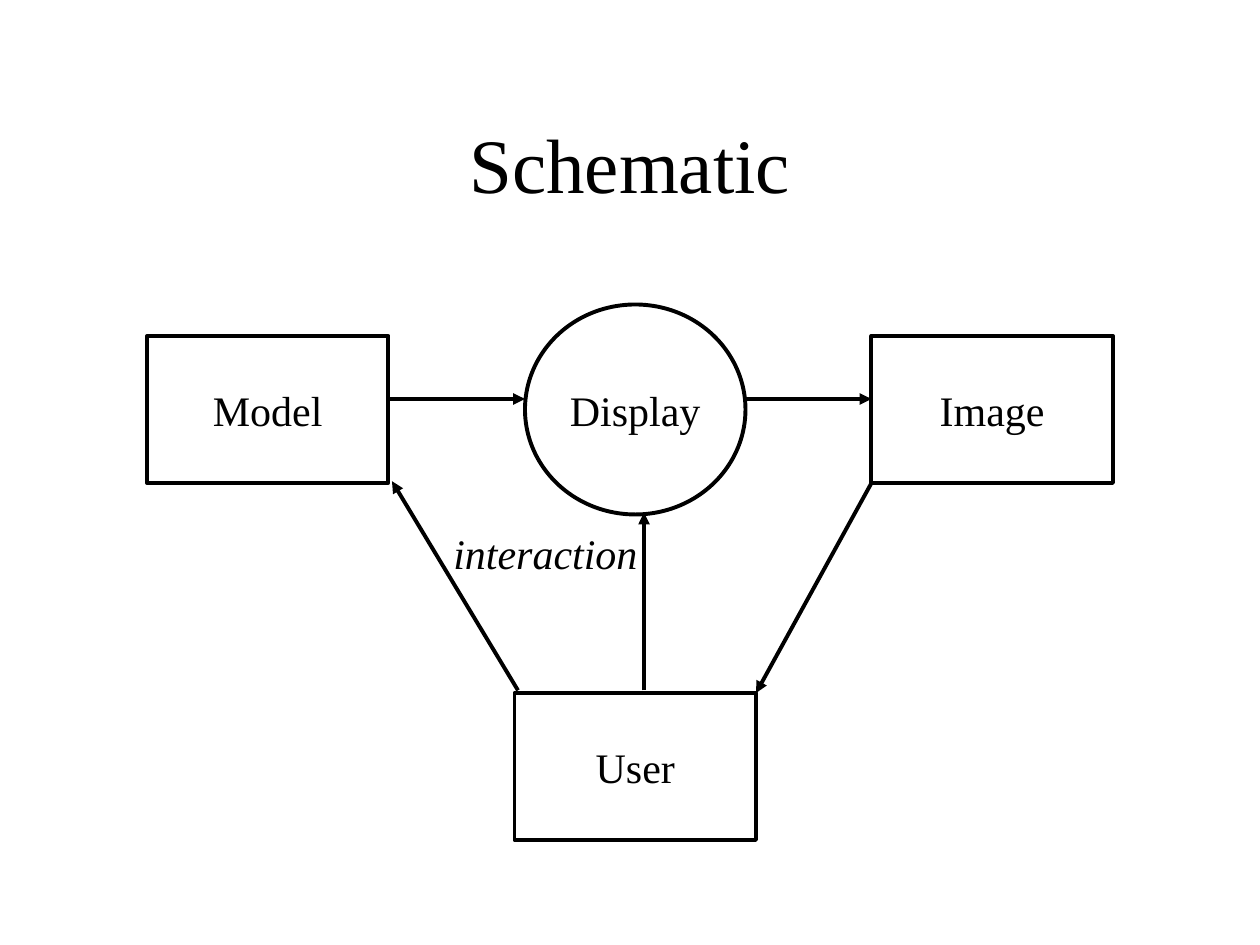
from lxml import etree
from pptx import Presentation
from pptx.dml.color import RGBColor
from pptx.enum import shapes, text
from pptx.oxml.ns import qn
from pptx.util import Pt

INK = "000000"
FONT = "Times New Roman"
RECT, OVAL = shapes.MSO_SHAPE.RECTANGLE, shapes.MSO_SHAPE.OVAL
MID, TOP = text.MSO_ANCHOR.MIDDLE, text.MSO_ANCHOR.TOP
LEFT, CENTER = text.PP_ALIGN.LEFT, text.PP_ALIGN.CENTER

BOX = (138, 84)
# label, shape, left and top, size
NODES = [
    ("Model", RECT, (84, 192), BOX),
    ("Display", OVAL, (300, 174), (126, 120)),
    ("Image", RECT, (498, 192), BOX),
    ("User", RECT, (294, 396), BOX),
]
# start, end
ARROWS = [
    ((222, 228), (300, 228)),  # Model to Display
    ((426, 228), (498, 228)),  # Display to Image
    ((498, 276), (432, 396)),  # Image to User
    ((368, 394.5), (368, 293)),  # User to Display
    ((296, 394.5), (224, 275)),  # User to Model
]


def color(code):
    return RGBColor.from_string(code)


def write(shape, words, size=24, align=CENTER, anchor=MID, wrap=False, italic=None):
    frame = shape.text_frame
    frame.word_wrap = wrap
    frame.vertical_anchor = anchor
    para = frame.paragraphs[0]
    para.alignment = align
    run = para.add_run()
    run.text = words
    font = run.font
    font.name, font.size, font.italic = FONT, Pt(size), italic
    font.color.rgb = color(INK)


def stroke(line):
    line.color.rgb = color(INK)
    line.width = Pt(2.25)


def node(slide, label, kind, spot, size):
    shape = slide.shapes.add_shape(kind, *map(Pt, spot + size))
    shape.shadow.inherit = False
    shape.fill.background()
    stroke(shape.line)
    write(shape, label)


def arrow(slide, start, end):
    link = slide.shapes.add_connector(
        shapes.MSO_CONNECTOR.STRAIGHT, *map(Pt, start + end))
    stroke(link.line)
    etree.SubElement(link.line._get_or_add_ln(), qn("a:tailEnd"), type="triangle")
    etree.SubElement(link._element.spPr, qn("a:effectLst"))


def main():
    deck = Presentation()
    deck.slide_width, deck.slide_height = Pt(720), Pt(540)
    slide = deck.slides.add_slide(deck.slide_layouts[6])

    title = slide.shapes.add_textbox(Pt(54), Pt(48), Pt(612), Pt(90))
    write(title, "Schematic", size=44, wrap=True)
    for item in NODES:
        node(slide, *item)
    for start, end in ARROWS:
        arrow(slide, start, end)
    note = slide.shapes.add_textbox(Pt(252), Pt(298), Pt(119.5), Pt(36))
    write(note, "interaction", align=LEFT, anchor=TOP, italic=True)

    deck.save("out.pptx")


if __name__ == "__main__":
    main()
